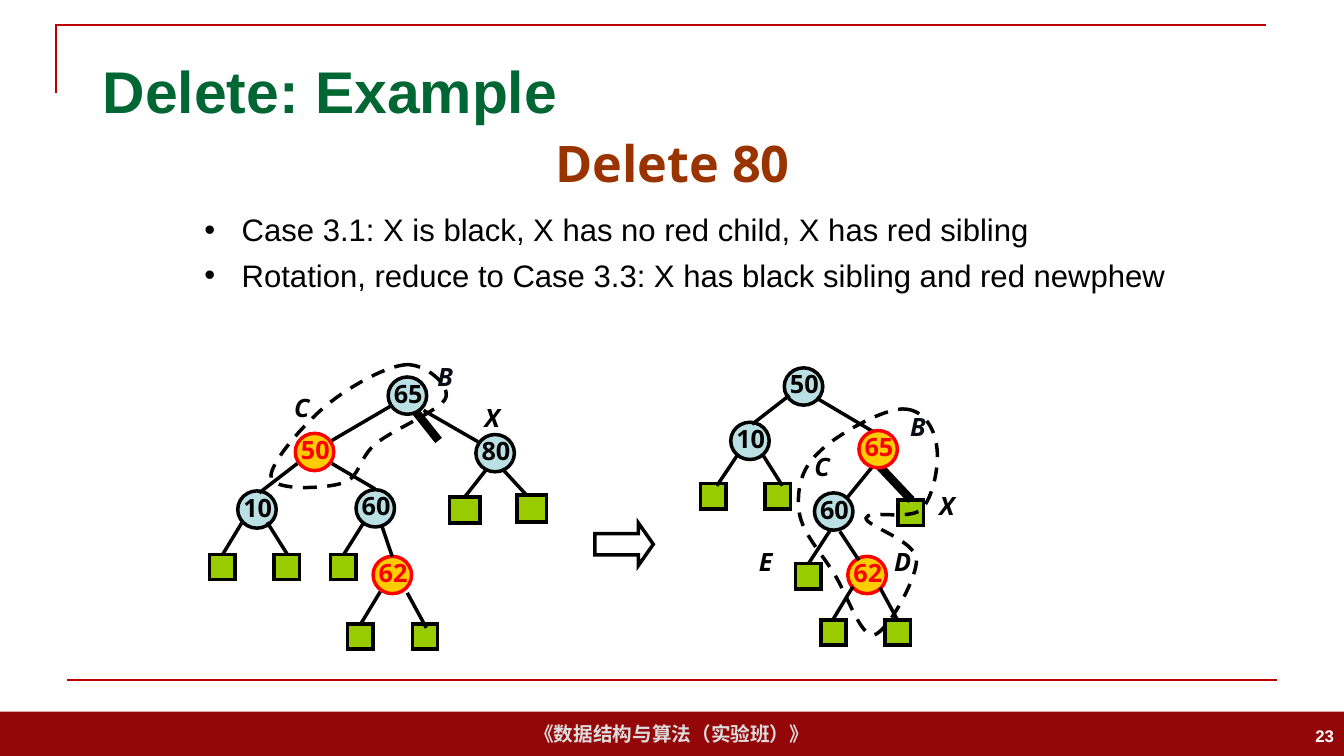
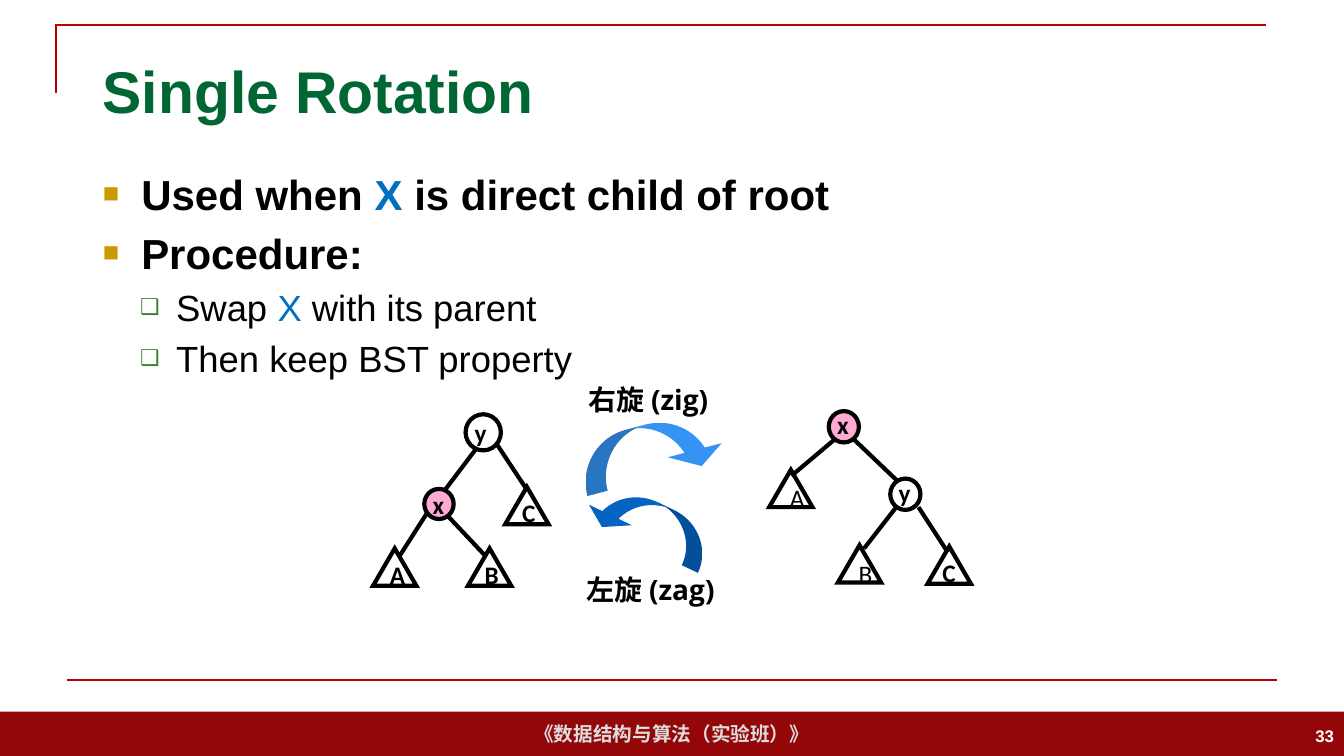
"""Build two slides on red-black deletion and single rotation."""
from dataclasses import dataclass

from lxml import etree
from pptx import Presentation
from pptx.dml.color import RGBColor
from pptx.enum.dml import MSO_LINE
from pptx.enum.shapes import MSO_CONNECTOR, MSO_SHAPE as Preset
from pptx.enum.text import MSO_ANCHOR as Anchor, PP_ALIGN as Align
from pptx.oxml.ns import qn
from pptx.util import Cm, Pt


@dataclass(frozen=True)
class Theme:
    """Colours, fonts and sizes of the deck."""
    band: str = "940709"
    rule: str = "C00000"
    title: str = "006633"
    heading: str = "993300"
    footer: str = "DDDDDD"
    white: str = "FFFFFF"
    ink: str = "000000"
    dark_ink: str = "0B0C17"
    accent: str = "0070C0"
    gold: str = "CC9900"
    green: str = "3B812F"
    black_node: str = "BBE0E3"
    red_node: str = "FFCC00"
    red: str = "FF0000"
    leaf: str = "99CC00"
    pink: str = "FF99CC"
    zig: tuple = ("3593F3", "3391F1")
    zag: tuple = ("0563C1", "0565C4")
    sans: str = "Arial"
    label: str = "Open Sans"
    letter: str = "Calibri"
    title_size: float = 42
    heading_size: float = 36
    body_size: float = 30
    detail_size: float = 26
    case_size: float = 22.2
    turn_size: float = 20
    node_size: float = 18
    footer_size: float = 14
    number_size: float = 12
    tree_line: float = 2.5
    rotation_line: float = 3
    heavy_line: float = 6


THEME = Theme()
DEFAULT_INSETS = (0.1, 0.05, 0.1, 0.05)


def length(inches):
    """Convert layout inches to a Cm length."""
    return Cm(round(inches * 2.54, 2))


def colour(value):
    """Turn a hex value into a colour."""
    return RGBColor.from_string(value)


def sub(parent, tag, **attributes):
    """Append a DrawingML element."""
    return etree.SubElement(parent, qn(tag), attributes)


def style_font(font, size, value, name, bold=True, italic=False):
    """Set every property of a font."""
    font.size, font.name, font.bold, font.italic = Pt(size), name, bold, italic
    font.color.rgb = colour(value)


def set_frame(shape, insets=DEFAULT_INSETS, anchor=Anchor.MIDDLE, wrap=True):
    """Set margins, anchor and wrapping of a text frame."""
    frame = shape.text_frame
    frame.margin_left, frame.margin_top, frame.margin_right, frame.margin_bottom = map(length, insets)
    frame.vertical_anchor, frame.word_wrap = anchor, wrap
    return frame


def write(shape, text, size, value, name, align=Align.LEFT, bold=True, italic=False, **frame_options):
    """Write one paragraph in a shape."""
    paragraph = set_frame(shape, **frame_options).paragraphs[0]
    paragraph.text, paragraph.alignment = text, align
    style_font(paragraph.font, size, value, name, bold, italic)


def add_text(slide, box, *args, **options):
    """Add a text box with one paragraph."""
    write(slide.shapes.add_textbox(*map(length, box)), *args, **options)


def paint(shape, fill=None, line=None, width=THEME.tree_line, dash=None):
    """Set the fill and outline of a shape."""
    shape.shadow.inherit = False
    if fill:
        shape.fill.solid()
        shape.fill.fore_color.rgb = colour(fill)
    else:
        shape.fill.background()
    if not line:
        shape.line.fill.background()
        return
    shape.line.color.rgb = colour(line)
    shape.line.width = Pt(width)
    if dash:
        shape.line.dash_style = dash
    sub(shape.element.spPr.find(qn("a:ln")), "a:miter", lim="800000")


def add_preset(slide, preset, box, **look):
    """Add a painted preset shape."""
    shape = slide.shapes.add_shape(preset, *map(length, box))
    paint(shape, **look)
    return shape


def add_line(slide, ends, width, value=THEME.ink):
    """Add a straight line without shadow."""
    line = slide.shapes.add_connector(MSO_CONNECTOR.STRAIGHT, *map(length, ends))
    line.line.color.rgb, line.line.width = colour(value), Pt(width)
    sub(line._element.spPr, "a:effectLst")


def add_outline(slide, points, close=False, **look):
    """Add an unfilled outline through points."""
    places = [(length(x), length(y)) for x, y in points]
    builder = slide.shapes.build_freeform(*places[0])
    builder.add_line_segments(places[1:], close=close)
    shape = builder.convert_to_shape()
    paint(shape, **look)
    return shape


def add_loop(slide, start, curves):
    """Add a dashed closed loop of cubic curves."""
    points = [start]
    for curve in curves:
        points.extend(zip(curve[::2], curve[1::2]))
    loop = add_outline(slide, points, close=True, line=THEME.ink, dash=MSO_LINE.DASH)
    segments = list(loop.element.spPr.iter(qn("a:lnTo")))
    for first in range(0, len(segments), 3):
        curve = etree.Element(qn("a:cubicBezTo"))
        segments[first].addprevious(curve)
        for segment in segments[first:first + 3]:
            curve.append(segment[0])
            segment.getparent().remove(segment)


def add_bullet(paragraph, char, indent, hanging, value=None, percent=100):
    """Give a paragraph a hanging bullet."""
    properties = paragraph._p.get_or_add_pPr()
    properties.set("marL", str(length(indent)))
    properties.set("indent", str(-length(hanging)))
    if value:
        sub(sub(properties, "a:buClr"), "a:srgbClr", val=value)
    sub(properties, "a:buSzPct", val=str(percent * 1000))
    sub(properties, "a:buFont", typeface=THEME.sans)
    sub(properties, "a:buChar", char=char)


def add_list(slide, box, items):
    """Add a bulleted list; each item has runs, bullet, size, weight and gap."""
    frame = set_frame(slide.shapes.add_textbox(*map(length, box)), anchor=Anchor.TOP)
    for index, (runs, bullet, size, bold, gap) in enumerate(items):
        paragraph = frame.add_paragraph() if index else frame.paragraphs[0]
        add_bullet(paragraph, *bullet)
        paragraph.space_before = Pt(gap if index else 0)
        style_font(paragraph.font, size, THEME.ink, THEME.sans, bold)
        for text in runs:
            run = paragraph.add_run()
            run.text = text
            if text == "X":
                run.font.color.rgb = colour(THEME.accent)


def add_base(presentation, title, number):
    """Add a slide with its shared title, rules and footer."""
    slide = presentation.slides.add_slide(presentation.slide_layouts[6])
    band = add_preset(slide, Preset.RECTANGLE, (0, 7.06, 13.33, 0.44), fill=THEME.band)
    write(band, "《数据结构与算法（实验班）》", THEME.footer_size, THEME.footer, THEME.sans,
          align=Align.CENTER, wrap=False)
    add_outline(slide, [(0.56, 0.92), (0.56, 0.25), (12.56, 0.25)], line=THEME.rule, width=1.5)
    add_line(slide, (0.67, 6.75, 12.67, 6.75), 1.5, THEME.rule)
    add_text(slide, (0.92, 0.4, 11.5, 0.99), title, THEME.title_size, THEME.title, THEME.sans)
    add_text(slide, (10.33, 7.1, 3, 0.4), str(number), THEME.number_size, THEME.white, THEME.sans,
             align=Align.RIGHT)
    return slide


def add_tree(slide, nodes, leaves=(), edges=()):
    """Add a red-black tree: numbered nodes, leaves, then edges."""
    for key, x, y, is_red in nodes:
        ink, fill = (THEME.red, THEME.red_node) if is_red else (THEME.ink, THEME.black_node)
        node = add_preset(slide, Preset.OVAL, (x, y, 0.38, 0.37), fill=fill, line=ink)
        write(node, str(key), THEME.node_size, ink, THEME.label, insets=(0, 0, 0, 0.05), wrap=False)
    for x, y, *size in leaves:
        add_preset(slide, Preset.RECTANGLE, (x, y, *(size or (0.25, 0.25))), fill=THEME.leaf, line=THEME.ink)
    for ends in edges:
        add_line(slide, ends, THEME.tree_line)


def add_labels(slide, labels):
    """Add the italic letters beside tree nodes."""
    for letter, x, y in labels:
        ink = THEME.dark_ink if letter == "B" else THEME.ink
        add_text(slide, (x, y, 0.34 if letter == "X" else 0.47, 0.4), letter, THEME.node_size, ink,
                 THEME.label, italic=True, anchor=Anchor.TOP)


def add_rotation_node(slide, letter, box, insets, fill=None):
    """Add a lettered circle of a rotation tree."""
    node = add_preset(slide, Preset.OVAL, box, fill=fill, line=THEME.ink, width=THEME.rotation_line)
    if fill == THEME.pink:
        sub(node.element.spPr.find(qn("a:solidFill"))[0], "a:alpha", val="83000")
    write(node, letter, THEME.node_size, THEME.ink, THEME.letter, insets=insets, wrap=False)


def add_subtree(slide, letter, x, y, insets, bold=True):
    """Add a lettered triangle for a subtree."""
    triangle = add_preset(slide, Preset.ISOSCELES_TRIANGLE, (x, y, 0.43, 0.37),
                          line=THEME.ink, width=THEME.rotation_line)
    write(triangle, letter, THEME.node_size, THEME.ink, THEME.letter, bold=bold, insets=insets, wrap=False)


def add_turn(slide, box, angle, stops, flips):
    """Add a curved arrow, turned, mirrored and evenly shaded."""
    arrow = add_preset(slide, Preset.CURVED_LEFT_ARROW, box)
    arrow.fill.gradient()
    for stop, value in zip(arrow.fill.gradient_stops, stops):
        stop.color.rgb = colour(value)
    arrow.rotation = angle
    for index, value in enumerate((0.385, 1.026, 0.315)):
        arrow.adjustments[index] = value
    for flip in flips:
        arrow.element.spPr.xfrm.set(flip, "1")


def build_delete(presentation):
    """Build the deletion example."""
    slide = add_base(presentation, "Delete: Example", 23)
    add_line(slide, (4.35, 4.37, 4, 3.93), THEME.heavy_line)
    add_text(slide, (2.38, 1.17, 8.58, 0.88), "Delete 80", THEME.heading_size, THEME.heading,
             THEME.label, align=Align.CENTER)
    cases = ("Case 3.1: X is black, X has no red child, X has red sibling",
             "Rotation, reduce to Case 3.3: X has black sibling and red newphew")
    add_list(slide, (1.93, 2.04, 10.29, 0.99),
             [((case,), ("•", 0.37, 0.37), THEME.case_size, False, 6) for case in cases])
    add_tree(
        slide,
        [(65, 3.85, 3.74, False), (50, 2.93, 4.3, True), (10, 2.36, 4.87, False),
         (60, 3.53, 4.86, False), (62, 3.7, 5.52, True), (80, 4.72, 4.31, False)],
        [(2.08, 5.5), (2.72, 5.5), (3.28, 5.5), (3.45, 6.19), (4.09, 6.19),
         (4.46, 4.93, 0.3, 0.26), (5.13, 4.91, 0.29, 0.27)],
        [(3.87, 4.03, 3.29, 4.37), (2.95, 4.6, 2.57, 4.89), (3.29, 4.6, 3.72, 4.85),
         (4.2, 4.07, 4.74, 4.38), (3.79, 5.23, 3.89, 5.52), (2.85, 5.5, 2.65, 5.18),
         (2.21, 5.5, 2.4, 5.18), (4.61, 4.93, 4.83, 4.65), (4.23, 6.23, 4.04, 5.88),
         (3.58, 6.19, 3.77, 5.87), (3.41, 5.5, 3.61, 5.18), (4.98, 4.65, 5.22, 4.91)])
    add_tree(
        slide,
        [(50, 7.78, 3.65, False), (10, 7.25, 4.19, False), (60, 8.08, 4.89, False), (62, 8.41, 5.52, True)],
        [(6.95, 4.8), (7.59, 4.8), (8.14, 6.15), (8.78, 6.15), (7.89, 5.59), (8.91, 4.96)],
        [(7.83, 3.92, 7.46, 4.21), (8.1, 3.95, 8.71, 4.31), (8.33, 5.27, 8.52, 5.56),
         (7.76, 4.82, 7.57, 4.52), (7.11, 4.82, 7.31, 4.52), (8.9, 6.15, 8.73, 5.83),
         (8.26, 6.15, 8.46, 5.82), (8.02, 5.59, 8.24, 5.25), (8.41, 4.93, 8.67, 4.61)])
    add_line(slide, (9.04, 4.96, 8.71, 4.61), THEME.heavy_line)
    add_tree(slide, [(65, 8.52, 4.27, True)])
    add_labels(slide, [("X", 4.71, 3.94), ("C", 2.82, 3.84), ("B", 4.24, 3.53), ("C", 7.98, 4.43),
                       ("D", 8.77, 5.37), ("E", 7.43, 5.37), ("B", 8.93, 4.03), ("X", 9.22, 4.81)])
    add_loop(slide, (4.03, 3.62), [
        (4.22, 3.61, 4.47, 3.82, 4.42, 3.95), (4.37, 4.07, 3.9, 4.26, 3.73, 4.4),
        (3.56, 4.54, 3.57, 4.74, 3.4, 4.79), (3.22, 4.85, 2.72, 4.87, 2.69, 4.74),
        (2.66, 4.61, 3.01, 4.21, 3.24, 4.02), (3.46, 3.84, 3.83, 3.63, 4.03, 3.62)])
    add_loop(slide, (8.99, 4.06), [
        (9.18, 4.08, 9.27, 4.27, 9.29, 4.43), (9.32, 4.6, 9.26, 4.93, 9.14, 5.05),
        (9.02, 5.17, 8.6, 5.05, 8.59, 5.14), (8.59, 5.22, 9.08, 5.36, 9.09, 5.55),
        (9.1, 5.74, 8.8, 6.27, 8.67, 6.3), (8.53, 6.32, 8.4, 5.89, 8.27, 5.69),
        (8.15, 5.49, 7.96, 5.29, 7.93, 5.09), (7.9, 4.89, 7.93, 4.67, 8.11, 4.5),
        (8.28, 4.32, 8.79, 4.03, 8.99, 4.06)])
    arrow = add_preset(slide, Preset.RIGHT_ARROW, (5.9, 5.19, 0.58, 0.42), line=THEME.ink)
    arrow.adjustments[1] = 0.35


def build_rotation(presentation):
    """Build the single rotation slide."""
    slide = add_base(presentation, "Single Rotation", 33)
    main_style = (("■", 0.38, 0.38, THEME.gold, 65), THEME.body_size, True, 6)
    detail_style = (("❑", 0.73, 0.36, THEME.green, 60), THEME.detail_size, False, 5.2)
    add_list(slide, (0.92, 1.62, 11.5, 5.15), [
        (("Used when ", "X", " is direct child of root"), *main_style),
        (("Procedure:",), *main_style),
        (("Swap ", "X", " with its parent"), *detail_style),
        (("Then keep BST property",), *detail_style)])
    for ends in ((8.28, 4.36, 7.85, 4.72), (8.89, 5.03, 8.57, 5.44), (8.9, 4.77, 8.46, 4.35),
                 (9.11, 5.03, 9.4, 5.48), (4.74, 4.43, 4.42, 4.85), (4.25, 5.07, 3.96, 5.52),
                 (4.44, 5.12, 4.82, 5.52), (4.93, 4.41, 5.22, 4.85)):
        add_line(slide, ends, THEME.rotation_line)
    high, low, side = (0.04, 0.01, 0.1, 0.05), (0.04, 0.05, 0.1, 0.05), (0.06, 0.01, 0.1, 0.05)
    add_rotation_node(slide, "y", (4.62, 4.11, 0.35, 0.36), low, THEME.white)
    add_rotation_node(slide, "x", (4.21, 4.85, 0.29, 0.3), low, THEME.pink)
    add_rotation_node(slide, "x", (8.22, 4.08, 0.3, 0.31), high, THEME.pink)
    add_rotation_node(slide, "y", (8.83, 4.75, 0.3, 0.31), high)
    for letter, x, y in (("A", 3.7, 5.44), ("B", 4.64, 5.44), ("C", 5.01, 4.83)):
        add_subtree(slide, letter, x, y, side)
    for letter, x, y in (("A", 7.63, 4.66), ("B", 8.31, 5.41)):
        add_subtree(slide, letter, x, y, DEFAULT_INSETS, bold=False)
    add_subtree(slide, "C", 9.2, 5.42, high)
    add_turn(slide, (6.19, 3.75, 0.54, 1.45), 75.3, THEME.zig, ("flipH", "flipV"))
    add_turn(slide, (6.21, 4.55, 0.46, 1.29), 115.5, THEME.zag, ("flipH",))
    for text, box in (("右旋 (zig)", (5.74, 3.74, 1.53, 0.45)), ("左旋 (zag)", (5.72, 5.63, 1.6, 0.45))):
        add_text(slide, box, text, THEME.turn_size, THEME.ink, THEME.label, anchor=Anchor.TOP, wrap=False)


def main():
    """Build and save the deck."""
    presentation = Presentation()
    presentation.slide_width, presentation.slide_height = length(13.33), length(7.5)
    build_delete(presentation)
    build_rotation(presentation)
    presentation.save("out.pptx")


if __name__ == "__main__":
    main()
